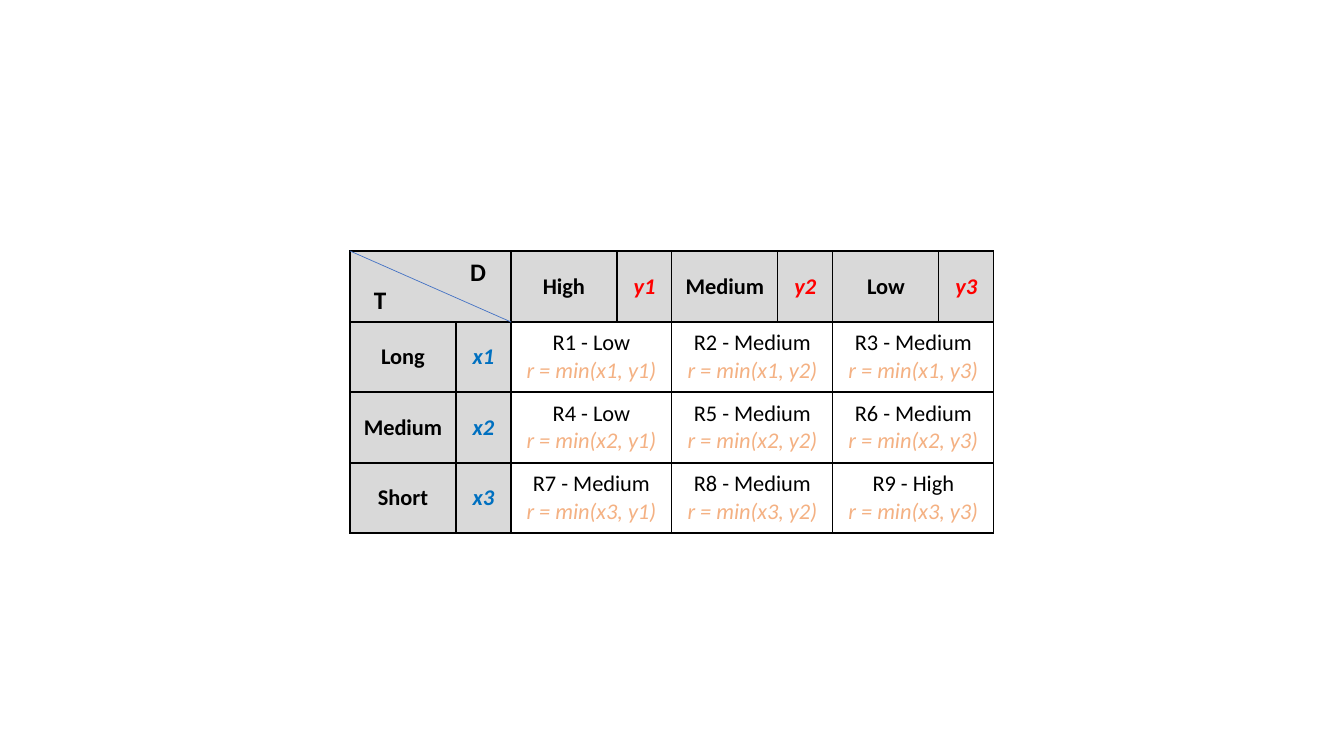
from lxml import etree
from pptx import Presentation
from pptx import util as u
from pptx.dml.color import RGBColor
from pptx.enum import shapes, text
from pptx.oxml.ns import qn

BLACK = RGBColor(0x00, 0x00, 0x00)
GRAY = RGBColor(0xD9, 0xD9, 0xD9)
RED = RGBColor(0xFF, 0x00, 0x00)
BLUE = RGBColor(0x00, 0x70, 0xC0)
ORANGE = RGBColor(0xF4, 0xB1, 0x83)
LINE_BLUE = RGBColor(0x44, 0x72, 0xC4)


def px(pixels):
    return u.Emu(round(pixels * 914400 / 100.8))


class SlideBuilder:
    font = "Calibri"

    def __init__(self, slide):
        self.slide = slide

    def add_run(self, paragraph, words, size, color, bold=False, italic=False):
        paragraph.alignment = text.PP_ALIGN.CENTER
        run = paragraph.add_run()
        run.text = words
        run.font.name = self.font
        run.font.size = u.Pt(size)
        run.font.color.rgb = color
        run.font.bold = bold
        run.font.italic = italic

    def table(self, left, top, widths, heights):
        table = self.slide.shapes.add_table(
            len(heights), len(widths), px(left), px(top),
            px(sum(widths)), px(sum(heights))).table
        table.first_row = table.horz_banding = False
        for column, width in zip(table.columns, widths):
            column.width = px(width)
        for row, height in zip(table.rows, heights):
            row.height = px(height)
        for cell in table.iter_cells():
            self.border(cell)
            cell.fill.background()
        return table

    def border(self, cell):
        properties = cell._tc.get_or_add_tcPr()
        for side in ("a:lnL", "a:lnR", "a:lnT", "a:lnB"):
            line = etree.SubElement(properties, qn(side), w=str(u.Pt(1)))
            fill = etree.SubElement(line, qn("a:solidFill"))
            etree.SubElement(fill, qn("a:srgbClr"), val=str(BLACK))

    def cell(self, cell, lines, fill=None, bold=False):
        """Fill a cell with (words, color, italic) lines."""
        cell.vertical_anchor = text.MSO_ANCHOR.MIDDLE
        if fill is not None:
            cell.fill.solid()
            cell.fill.fore_color.rgb = fill
        frame = cell.text_frame
        for index, (words, color, italic) in enumerate(lines):
            paragraph = frame.add_paragraph() if index else frame.paragraphs[0]
            self.add_run(paragraph, words, 16, color, bold, italic)

    def line(self, start, end, color, width):
        connector = self.slide.shapes.add_connector(
            shapes.MSO_CONNECTOR.STRAIGHT, *map(px, start + end))
        connector.line.color.rgb = color
        connector.line.width = u.Pt(width)
        etree.SubElement(connector._element.spPr, qn("a:effectLst"))

    def label(self, left, top, width, height, words):
        box = self.slide.shapes.add_textbox(*map(px, (left, top, width, height)))
        frame = box.text_frame
        frame.word_wrap = False
        frame.auto_size = text.MSO_AUTO_SIZE.SHAPE_TO_FIT_TEXT
        self.add_run(frame.paragraphs[0], words, 18, BLACK, bold=True)


presentation = Presentation()
presentation.slide_width, presentation.slide_height = px(1344), px(756)
builder = SlideBuilder(presentation.slides.add_slide(presentation.slide_layouts[6]))

# Rule table
LEFT, TOP = 350, 251
WIDTHS = [106, 55] * 4
HEIGHTS = [71, 70, 71, 70]
D_LEVELS = ["High", "Medium", "Low"]
T_LEVELS = ["Long", "Medium", "Short"]
OUTCOMES = [["Low", "Medium", "Medium"],
            ["Low", "Medium", "Medium"],
            ["Medium", "Medium", "High"]]
rules = builder.table(LEFT, TOP, WIDTHS, HEIGHTS)

# Corner and headings with their membership variables
corner = rules.cell(0, 0)
corner.merge(rules.cell(0, 1))
builder.cell(corner, [], GRAY)
for number, (d_level, t_level) in enumerate(zip(D_LEVELS, T_LEVELS), 1):
    for row, column, level, variable, color in (
            (0, 2 * number, d_level, f"y{number}", RED),
            (number, 0, t_level, f"x{number}", BLUE)):
        builder.cell(rules.cell(row, column), [(level, BLACK, False)], GRAY, True)
        builder.cell(rules.cell(row, column + 1), [(variable, color, True)], GRAY, True)

# Rules, numbered row by row
for t, outcomes in enumerate(OUTCOMES, 1):
    for d, outcome in enumerate(outcomes, 1):
        rule = rules.cell(t, 2 * d)
        rule.merge(rules.cell(t, 2 * d + 1))
        builder.cell(rule, [(f"R{3 * (t - 1) + d} - {outcome}", BLACK, False),
                            (f"r = min(x{t}, y{d})", ORANGE, True)])

# Corner diagonal and axis names
builder.line((LEFT, TOP), (LEFT + sum(WIDTHS[:2]), TOP + HEIGHTS[0]), LINE_BLUE, 0.5)
builder.label(364, 279, 32, 40, "T")
builder.label(460, 251, 36, 40, "D")

presentation.save("out.pptx")
